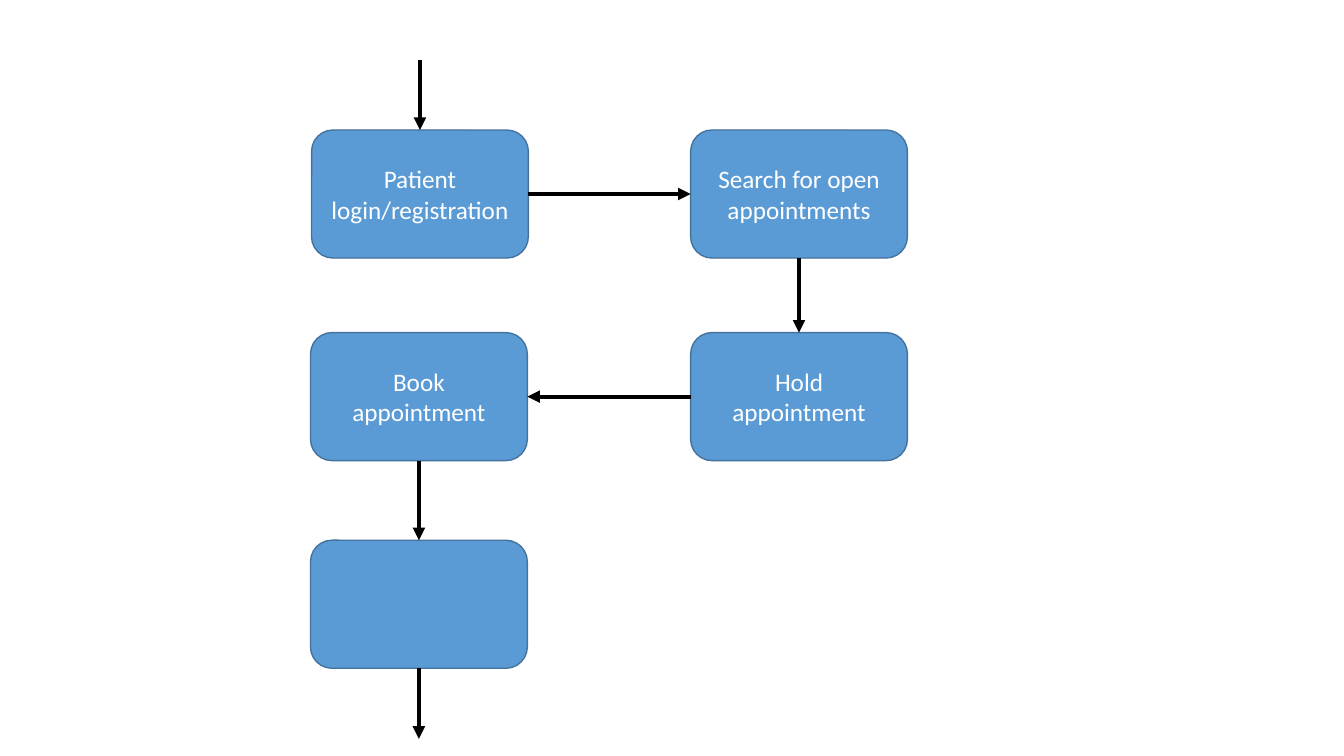
"""Build the appointment booking flowchart slide."""
from lxml.etree import SubElement
from pptx import Presentation
from pptx.dml.color import RGBColor
from pptx.enum.shapes import MSO_CONNECTOR, MSO_SHAPE
from pptx.enum.text import MSO_ANCHOR, PP_ALIGN
from pptx.oxml.ns import qn
from pptx.util import Inches, Pt

STEPS = {
    "login": ("Patient login/registration", 3.09, 1.29),
    "search": ("Search for open appointments", 6.85, 1.29),
    "hold": ("Hold appointment", 6.85, 3.3),
    "book": ("Book appointment", 3.08, 3.3),
    "next": ("", 3.08, 5.36),
}
TOP, LEFT, BOTTOM, RIGHT = range(4)
LINKS = [
    ("login", RIGHT, "search", LEFT),
    ("search", BOTTOM, "hold", TOP),
    ("hold", LEFT, "book", RIGHT),
    ("book", BOTTOM, "next", TOP),
]
STEP_WIDTH, STEP_HEIGHT = 2.15, 1.27
ENTRY_TOP, EXIT_BOTTOM = 0.6, 7.33
FILL, OUTLINE, TEXT, ARROW = "5B9BD5", "43739E", "FFFFFF", "000000"


def color(value):
    return RGBColor.from_string(value)


def add_step(slide, text, left, top):
    shape = slide.shapes.add_shape(
        MSO_SHAPE.ROUNDED_RECTANGLE,
        Inches(left), Inches(top), Inches(STEP_WIDTH), Inches(STEP_HEIGHT),
    )
    shape.shadow.inherit = False
    shape.fill.solid()
    shape.fill.fore_color.rgb = color(FILL)
    shape.line.color.rgb = color(OUTLINE)
    shape.line.width = Pt(1)
    if text:
        frame = shape.text_frame
        frame.word_wrap = True
        frame.vertical_anchor = MSO_ANCHOR.MIDDLE
        paragraph = frame.paragraphs[0]
        paragraph.alignment = PP_ALIGN.CENTER
        run = paragraph.add_run()
        run.text = text
        run.font.name = "Calibri"
        run.font.size = Pt(18)
        run.font.color.rgb = color(TEXT)
    return shape


def add_arrow(slide, start_y=0, end_y=0):
    connector = slide.shapes.add_connector(
        MSO_CONNECTOR.STRAIGHT, 0, Inches(start_y), 0, Inches(end_y)
    )
    connector.line.color.rgb = color(ARROW)
    connector.line.width = Pt(3)
    properties = connector.line._get_or_add_ln()
    SubElement(properties, qn("a:tailEnd"), type="triangle")
    SubElement(connector._element.spPr, qn("a:effectLst"))
    return connector


def main():
    presentation = Presentation()
    presentation.slide_width = Inches(13.33)
    presentation.slide_height = Inches(7.5)
    slide = presentation.slides.add_slide(presentation.slide_layouts[6])

    steps = {name: add_step(slide, *step) for name, step in STEPS.items()}
    for source, source_site, target, target_site in LINKS:
        arrow = add_arrow(slide)
        arrow.begin_connect(steps[source], source_site)
        arrow.end_connect(steps[target], target_site)

    entry = add_arrow(slide, start_y=ENTRY_TOP)
    entry.end_connect(steps["login"], TOP)
    entry.begin_x = entry.end_x

    exit_arrow = add_arrow(slide, end_y=EXIT_BOTTOM)
    exit_arrow.begin_connect(steps["next"], BOTTOM)
    exit_arrow.end_x = exit_arrow.begin_x

    presentation.save("out.pptx")


if __name__ == "__main__":
    main()
